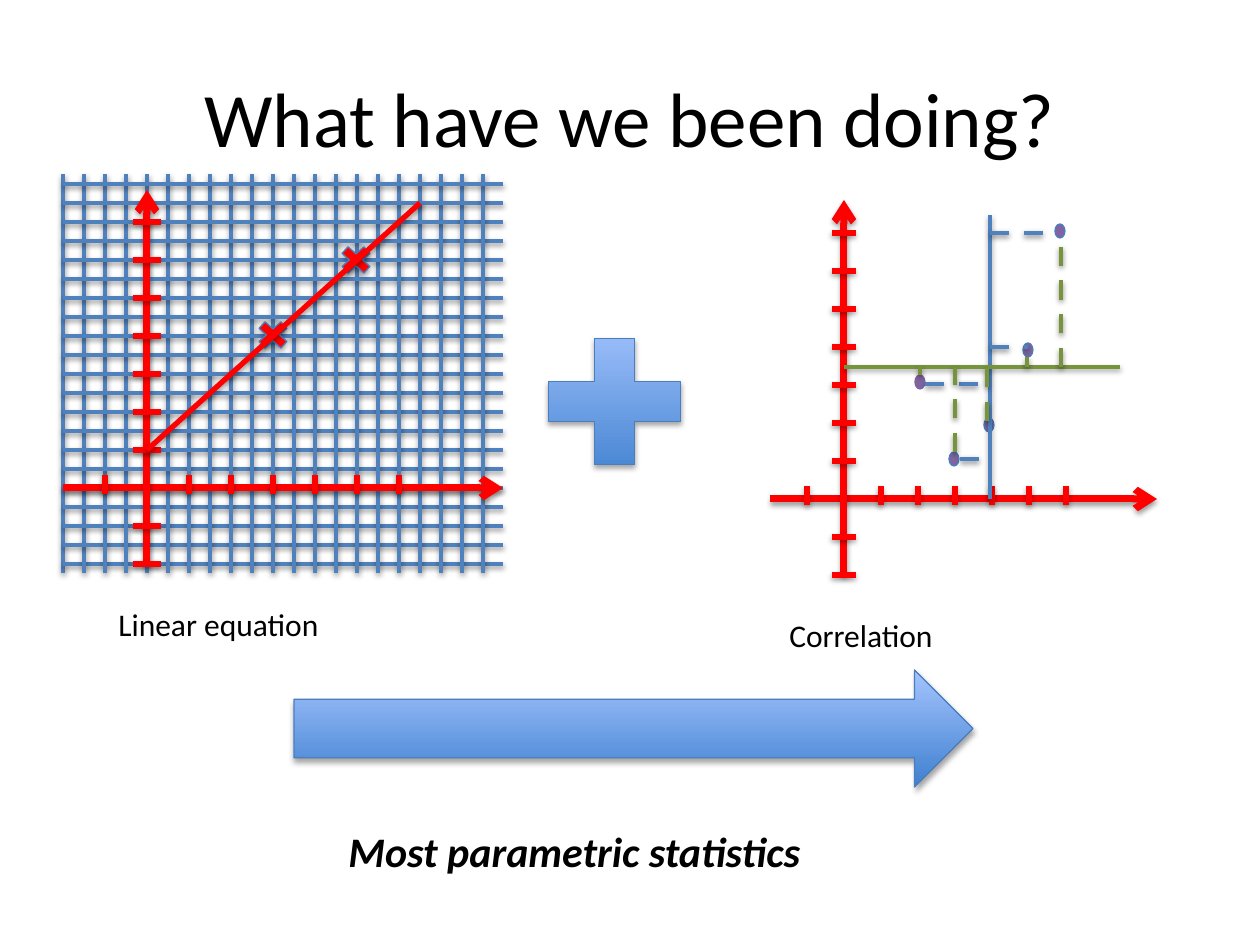
"""Build the slide joining a linear equation and a correlation into parametric statistics."""
from dataclasses import dataclass

from lxml import etree
from pptx import Presentation
from pptx.dml.color import RGBColor
from pptx.enum.dml import MSO_LINE
from pptx.enum.shapes import MSO_CONNECTOR, MSO_SHAPE
from pptx.enum.text import MSO_ANCHOR, PP_ALIGN
from pptx.oxml.ns import qn
from pptx.util import Emu, Pt

STRAIGHT = MSO_CONNECTOR.STRAIGHT
DASH = MSO_LINE.DASH
ELLIPSE = MSO_SHAPE.OVAL
CROSS = MSO_SHAPE.MATH_MULTIPLY
PLUS = MSO_SHAPE.MATH_PLUS
RIGHT_ARROW = MSO_SHAPE.RIGHT_ARROW
MIDDLE, TOP = MSO_ANCHOR.MIDDLE, MSO_ANCHOR.TOP
CENTER, LEFT = PP_ALIGN.CENTER, PP_ALIGN.LEFT
PX_PER_INCH = 126


@dataclass(frozen=True)
class Theme:
    font: str = "Calibri"
    text: str = "000000"
    axis: str = "FF0000"
    blue: str = "4F81BD"
    green: str = "77933C"
    dot: str = "8064A2"
    outline: str = "4B7EBC"
    gradient: tuple[str, str] = ("3F80CE", "A4C4FF")
    title_size: int = 44
    result_size: int = 24
    caption_size: int = 18
    axis_width: float = 4
    tick_width: float = 3
    dash_width: float = 2.75
    thin_width: float = 2
    outline_width: float = 0.75


THEME = Theme()


@dataclass(frozen=True)
class Stroke:
    color: str
    width: float
    dashed: bool = False
    arrow: bool = False


AXIS = Stroke(THEME.axis, THEME.axis_width, arrow=True)
TICK = Stroke(THEME.axis, THEME.tick_width)
GRID = Stroke(THEME.blue, THEME.thin_width)
X_DEVIATION = Stroke(THEME.blue, THEME.dash_width, dashed=True)
Y_MEAN = Stroke(THEME.green, THEME.thin_width)
Y_DEVIATION = Stroke(THEME.green, THEME.dash_width, dashed=True)


@dataclass(frozen=True)
class Box:
    left: int
    top: int
    width: int
    height: int

    def emu(self) -> tuple[Emu, ...]:
        return tuple(map(px, (self.left, self.top, self.width, self.height)))


@dataclass(frozen=True)
class Axes:
    origin_x: int
    origin_y: int
    left: int
    right: int
    top: int
    bottom: int
    step_x: int
    step_y: int
    tick_half: int


@dataclass(frozen=True)
class Label:
    text: str
    box: Box
    size: int
    align: PP_ALIGN = LEFT
    anchor: MSO_ANCHOR = TOP
    emphasis: bool = False


LINEAR = Axes(147, 488, 63, 503, 190, 564, 42, 38, 14)
CORRELATION = Axes(844, 499, 770, 1157, 200, 575, 37, 38, 12)
MEAN_X, MEAN_Y = 990, 367
DOTS = ((915, 375, THEME.dot), (984, 418, THEME.outline), (949, 452, THEME.outline),
        (1023, 343, THEME.outline), (1055, 224, THEME.outline))
X_DEVIATIONS = ((960, 990, 459), (925, 990, 384), (990, 1028, 347), (990, 1057, 233))
Y_DEVIATIONS = ((920, 375, MEAN_Y), (955, 452, MEAN_Y), (987, 421, MEAN_Y),
                (1027, MEAN_Y, 357), (1061, MEAN_Y, 238))

TITLE = Label("What have we been doing?", Box(63, 38, 1134, 158),
              THEME.title_size, CENTER, MIDDLE)
CORRELATION_CAPTION = Label("Correlation", Box(777, 610, 341, 50), THEME.caption_size)
LINEAR_CAPTION = Label("Linear equation", Box(106, 599, 341, 50), THEME.caption_size)
RESULT = Label("Most parametric statistics", Box(336, 819, 616, 63),
               THEME.result_size, emphasis=True)


def px(length: int) -> Emu:
    return Emu(round(length * 914400 / PX_PER_INCH))


def rgb(color: str) -> RGBColor:
    return RGBColor.from_string(color)


def cast_shadow(properties, opacity: int, distance: float) -> None:
    for inherited in properties.findall(qn("a:effectLst")):
        properties.remove(inherited)
    effects = etree.SubElement(properties, qn("a:effectLst"))
    shadow = etree.SubElement(effects, qn("a:outerShdw"), blurRad=str(Pt(3.1)),
                              dist=str(Pt(distance)), dir="5400000", rotWithShape="0")
    tint = etree.SubElement(shadow, qn("a:srgbClr"), val="000000")
    etree.SubElement(tint, qn("a:alpha"), val=str(opacity * 1000))


def draw_line(shapes, x1: int, y1: int, x2: int, y2: int, stroke: Stroke) -> None:
    connector = shapes.add_connector(STRAIGHT, px(x1), px(y1), px(x2), px(y2))
    line = connector.line
    line.color.rgb = rgb(stroke.color)
    line.width = Pt(stroke.width)
    if stroke.dashed:
        line.dash_style = DASH
    properties = connector._element.spPr
    if stroke.arrow:
        etree.SubElement(properties.find(qn("a:ln")), qn("a:tailEnd"), type="arrow")
    cast_shadow(properties, 38, 1.6)


def draw_shape(shapes, preset: MSO_SHAPE, box: Box, fill: str | tuple[str, str],
               outline: str = THEME.outline, shadowed: bool = True) -> None:
    shape = shapes.add_shape(preset, *box.emu())
    if isinstance(fill, tuple):
        shape.fill.gradient()
        shape.fill.gradient_angle = 90
        for stop, color in zip(shape.fill.gradient_stops, fill):
            stop.color.rgb = rgb(color)
    else:
        shape.fill.solid()
        shape.fill.fore_color.rgb = rgb(fill)
    shape.line.color.rgb = rgb(outline)
    shape.line.width = Pt(THEME.outline_width)
    shape.shadow.inherit = False
    if shadowed:
        cast_shadow(shape._element.spPr, 35, 1.8)


def draw_label(shapes, label: Label) -> None:
    frame = shapes.add_textbox(*label.box.emu()).text_frame
    frame.word_wrap = True
    frame.vertical_anchor = label.anchor
    paragraph = frame.paragraphs[0]
    paragraph.text = label.text
    paragraph.alignment = label.align
    font = paragraph.font
    font.name, font.size = THEME.font, Pt(label.size)
    font.color.rgb = rgb(THEME.text)
    font.bold = font.italic = label.emphasis


def draw_axes(shapes, axes: Axes) -> None:
    x, y = axes.origin_x, axes.origin_y
    draw_line(shapes, axes.left, y, axes.right, y, AXIS)
    draw_line(shapes, x, axes.bottom, x, axes.top, AXIS)
    for i in (-1, *range(1, 7)):
        tick_x = x + i * axes.step_x
        draw_line(shapes, tick_x, y + 6, tick_x, y - 13, TICK)
    for i in (-2, -1, *range(1, 8)):
        tick_y = y - i * axes.step_y
        draw_line(shapes, x - axes.tick_half, tick_y, x + axes.tick_half, tick_y, TICK)


def draw_correlation(shapes) -> None:
    draw_axes(shapes, CORRELATION)
    for left, top, outline in DOTS:
        draw_shape(shapes, ELLIPSE, Box(left, top, 10, 14), THEME.dot, outline, False)
    draw_line(shapes, MEAN_X, CORRELATION.origin_y, MEAN_X, 215, GRID)
    for start, end, y in X_DEVIATIONS:
        draw_line(shapes, start, y, end, y, X_DEVIATION)
    draw_line(shapes, CORRELATION.origin_x, MEAN_Y, 1120, MEAN_Y, Y_MEAN)
    for x, start, end in Y_DEVIATIONS:
        draw_line(shapes, x, start, x, end, Y_DEVIATION)
    draw_label(shapes, CORRELATION_CAPTION)


def draw_linear_equation(shapes) -> None:
    for i in range(21):
        x, y = 63 + 21 * i, 564 - 19 * i
        draw_line(shapes, x, 174, x, 573, GRID)
        draw_line(shapes, 63, y, 503, y, GRID)
    draw_axes(shapes, LINEAR)
    for left, top in ((252, 316), (335, 241)):
        draw_shape(shapes, CROSS, Box(left, top, 42, 38), THEME.axis)
    draw_line(shapes, 147, 450, 420, 203, TICK)
    draw_label(shapes, LINEAR_CAPTION)


def main() -> None:
    deck = Presentation()
    deck.slide_width, deck.slide_height = px(1260), px(945)
    shapes = deck.slides.add_slide(deck.slide_layouts[6]).shapes
    draw_label(shapes, TITLE)
    draw_correlation(shapes.add_group_shape().shapes)
    draw_linear_equation(shapes.add_group_shape().shapes)
    draw_shape(shapes, PLUS, Box(525, 316, 179, 171), THEME.gradient)
    draw_shape(shapes, RIGHT_ARROW, Box(294, 670, 679, 117), THEME.gradient)
    draw_label(shapes, RESULT)
    deck.save("out.pptx")


if __name__ == "__main__":
    main()
